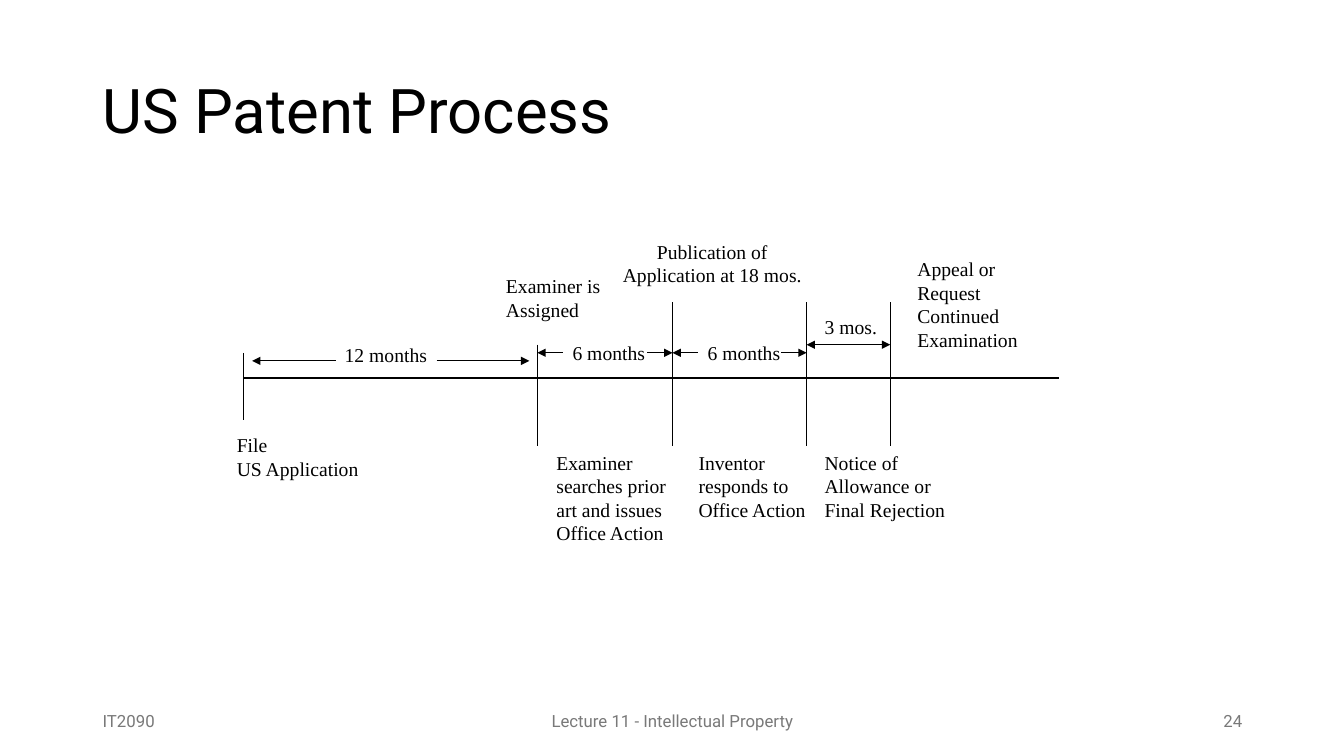
from lxml import etree
from pptx import Presentation
from pptx.dml.color import RGBColor
from pptx.enum.shapes import MSO_CONNECTOR
from pptx.enum.text import MSO_ANCHOR as ANCHOR, MSO_AUTO_SIZE as AUTO, PP_ALIGN as ALIGN
from pptx.oxml.ns import qn
from pptx.util import Pt

PX = 9144  # EMU per px, 100 px to the inch
COLORS = {"ink": "000000", "footer": "797979"}
SANS, SERIF = "Roboto", "Times New Roman"


class Timeline:
    def __init__(self, slide):
        self.slide = slide

    def text(self, box, lines, size, font, color="ink", align=ALIGN.LEFT,
             anchor=ANCHOR.MIDDLE, wrap=True, spacing=1.0):
        sp = self.slide.shapes.add_textbox(*(v * PX for v in box))
        tf = sp.text_frame
        tf.word_wrap, tf.vertical_anchor = wrap, anchor
        tf.text = lines
        for p in tf.paragraphs:
            p.alignment, p.line_spacing = align, spacing
            p.font.size, p.font.name = Pt(size), font
            p.font.color.rgb = RGBColor.from_string(COLORS[color])
        return sp

    def label(self, box, lines, wrap=False, align=ALIGN.LEFT):
        sp = self.text(box, lines, 14, SERIF, align=align, anchor=ANCHOR.TOP, wrap=wrap)
        sp.text_frame.auto_size = AUTO.SHAPE_TO_FIT_TEXT

    def footer(self, left, width, line, align):
        self.text((left, 695, width, 40), line, 12, SANS, "footer", align)

    def line(self, x1, y1, x2, y2, arrows=()):
        """Draw a thin line; arrows names its ends: headEnd (start), tailEnd (finish)."""
        cx = self.slide.shapes.add_connector(
            MSO_CONNECTOR.STRAIGHT, *(v * PX for v in (x1, y1, x2, y2)))
        cx.line.width = Pt(0.75)
        cx.line.color.rgb = RGBColor.from_string(COLORS["ink"])
        for end in arrows:
            etree.SubElement(cx.line._ln, qn("a:" + end), type="triangle")
        etree.SubElement(cx._element.spPr, qn("a:effectLst"))

    def span(self, start, gap_start, gap_end, finish, y):
        """Draw a dimension arrow with a gap for its label."""
        self.line(gap_start, y, start, y, ["tailEnd"])
        self.line(gap_end, y, finish, y, ["tailEnd"])


def main():
    prs = Presentation()
    prs.slide_width, prs.slide_height = 1333 * PX, 750 * PX
    t = Timeline(prs.slides.add_slide(prs.slide_layouts[6]))

    t.text((92, 40, 1150, 145), "US Patent Process", 44, SANS, spacing=0.9)

    filed, assigned, published, answered, decided = 242, 533, 667, 800, 883
    t.line(filed, 375, 1050, 375)
    for x, top, bottom in [(filed, 350, 417), (assigned, 342, 442), (published, 300, 442),
                           (answered, 300, 442), (decided, 300, 442)]:
        t.line(x, top, x, bottom)

    t.span(250, 333, 433, 525, 358)
    t.span(assigned, 558, 642, published, 350)
    t.span(published, 692, 775, answered, 350)
    t.line(answered, 342, decided, 342, ["headEnd", "tailEnd"])
    for box, period in [((332, 335, 102, 33), "12 months"), ((558, 333, 92, 33), "6 months"),
                        ((692, 333, 92, 33), "6 months"), ((808, 308, 72, 33), "3 mos.")]:
        t.label(box, period)

    t.label((225, 425, 142, 57), "File\nUS Application")
    t.label((492, 267, 119, 57), "Examiner is\nAssigned")
    t.label((607, 233, 199, 57), "Publication of\nApplication at 18 mos.", align=ALIGN.CENTER)
    for left, top, height, step in [
            (542, 442, 104, "Examiner searches prior art and issues Office Action"),
            (683, 442, 81, "Inventor responds to Office Action"),
            (808, 442, 81, "Notice of Allowance or Final Rejection"),
            (900, 250, 104, "Appeal or Request Continued Examination")]:
        t.label((left, top, 142, height), step, wrap=True)

    t.footer(92, 300, "IT2090", ALIGN.LEFT)
    t.footer(442, 450, "Lecture 11 - Intellectual Property", ALIGN.CENTER)
    t.footer(942, 300, "24", ALIGN.RIGHT)
    prs.save("out.pptx")


if __name__ == "__main__":
    main()
